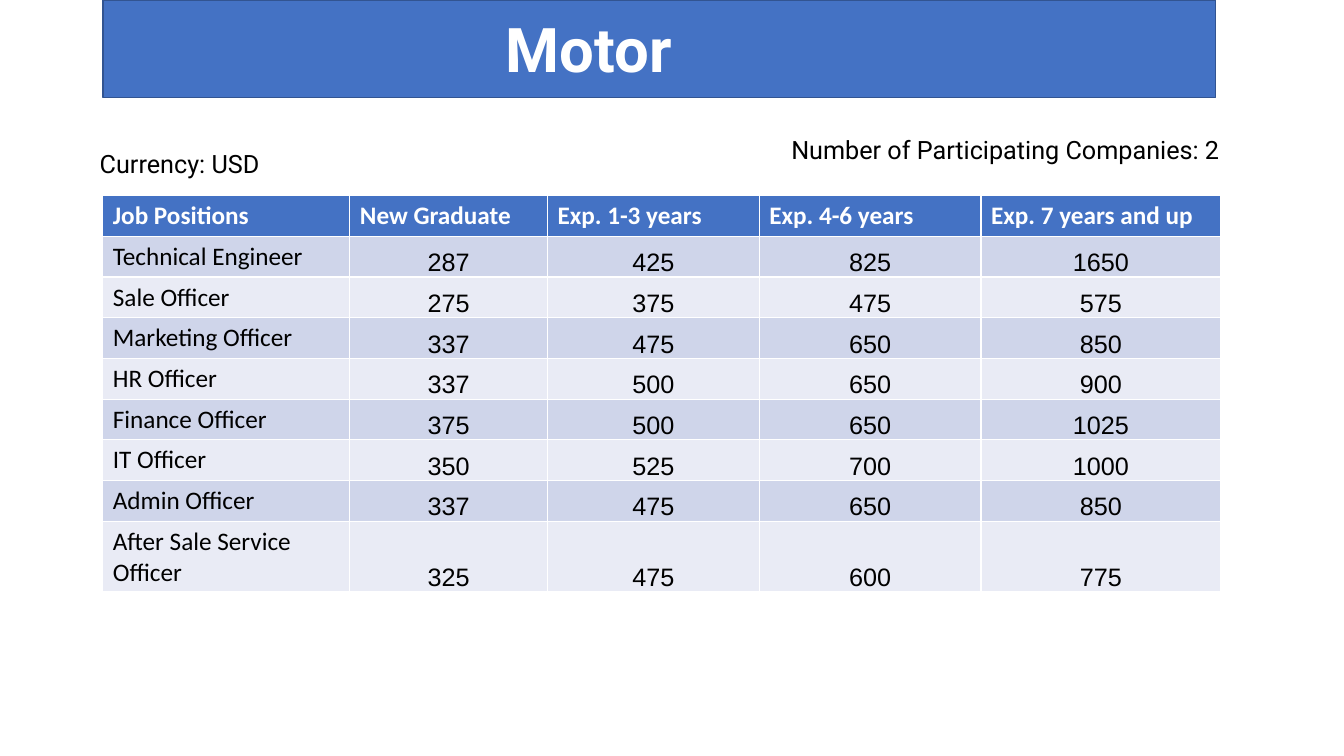
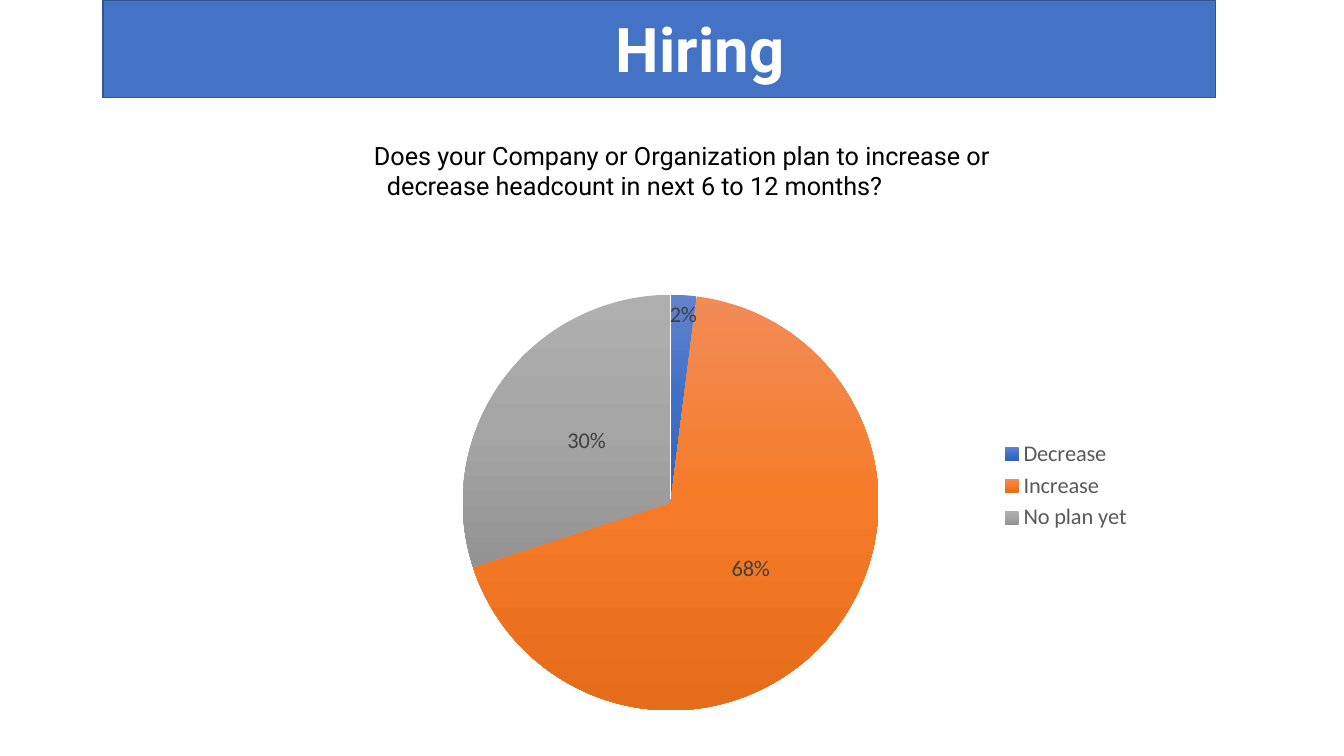
from lxml import etree
from pptx import Presentation
from pptx import util as u
from pptx.chart.data import CategoryChartData
from pptx.dml.color import RGBColor
from pptx.enum import chart as charts, shapes, text
from pptx.oxml import parse_xml
from pptx.oxml.ns import nsdecls, qn

BLUE = RGBColor(0x44, 0x72, 0xC4)
BLUE_EDGE = RGBColor(0x32, 0x54, 0x91)
ROW_DARK = RGBColor(0xCF, 0xD5, 0xEA)
ROW_LIGHT = RGBColor(0xE9, 0xEB, 0xF5)
WHITE = RGBColor(0xFF, 0xFF, 0xFF)
BLACK = RGBColor(0, 0, 0)
LABEL_GREY = RGBColor(0x40, 0x40, 0x40)
LEGEND_GREY = RGBColor(0x59, 0x59, 0x59)
LEFT, CENTER = text.PP_ALIGN.LEFT, text.PP_ALIGN.CENTER

deck = Presentation()
deck.slide_width = u.Inches(13.33)
deck.slide_height = u.Inches(7.5)


def area(left, top, width, height):
    across, down = deck.slide_width / 100, deck.slide_height / 100
    return int(left * across), int(top * down), int(width * across), int(height * down)


def write(frame, words, size, font, color, bold=False, align=LEFT):
    para = frame.paragraphs[0]
    para.alignment = align
    span = para.add_run()
    span.text = words
    span.font.size = u.Pt(size)
    span.font.name = font
    span.font.color.rgb = color
    span.font.bold = bold
    return para


pages = []
for title, left, width, align in [
    ("Motor", 36.91, 31.96, LEFT),
    ("Hiring", 40.29, 23.63, CENTER),
]:
    page = deck.slides.add_slide(deck.slide_layouts[6])
    band = page.shapes.add_shape(shapes.MSO_SHAPE.RECTANGLE, *area(7.65, 0, 82.8, 12.93))
    band.shadow.inherit = False
    band.fill.solid()
    band.fill.fore_color.rgb = BLUE
    band.line.color.rgb = BLUE_EDGE
    band.line.width = u.Pt(1)
    box = page.shapes.add_textbox(*area(left, 0.8, width, 11.2))
    box.text_frame.word_wrap = True
    box.text_frame.auto_size = text.MSO_AUTO_SIZE.SHAPE_TO_FIT_TEXT
    write(box.text_frame, title, 44, "Roboto", WHITE, True, align)
    pages.append(page)
salary_page, hiring_page = pages

salaries = [
    ("Job Positions", "New Graduate", "Exp. 1-3 years", "Exp. 4-6 years", "Exp. 7 years and up"),
    ("Technical Engineer", 287, 425, 825, 1650),
    ("Sale Officer", 275, 375, 475, 575),
    ("Marketing Officer", 337, 475, 650, 850),
    ("HR Officer", 337, 500, 650, 900),
    ("Finance Officer", 375, 500, 650, 1025),
    ("IT Officer", 350, 525, 700, 1000),
    ("Admin Officer", 337, 475, 650, 850),
    ("After Sale Service Officer", 325, 475, 600, 775),
]
table = salary_page.shapes.add_table(
    len(salaries), len(salaries[0]), *area(7.65, 25.87, 83.2, 48.5)
).table
for column, width in zip(table.columns, [2.45, 1.96, 2.1, 2.2, 2.38]):
    column.width = u.Inches(width)

for row, values in enumerate(salaries):
    for column, value in enumerate(values):
        cell = table.cell(row, column)
        cell.fill.solid()
        if row == 0:
            cell.fill.fore_color.rgb = BLUE
            write(cell.text_frame, value, 18, "Calibri", WHITE, True)
            continue
        cell.fill.fore_color.rgb = ROW_DARK if row % 2 else ROW_LIGHT
        if column == 0:
            write(cell.text_frame, value, 18, "Calibri", BLACK)
            continue
        cell.vertical_anchor = text.MSO_ANCHOR.BOTTOM
        cell.margin_left = cell.margin_right = cell.margin_top = u.Inches(0.01)
        cell.margin_bottom = 0
        write(cell.text_frame, str(value), 18, "Arial", BLACK, align=CENTER)

for words, place in [
    ("Currency: USD", (6.68, 19, 13.5, 5.33)),
    ("Number of Participating Companies: 2", (58.14, 17.07, 34.13, 5.33)),
]:
    box = salary_page.shapes.add_textbox(*area(*place))
    box.text_frame.word_wrap = False
    box.text_frame.auto_size = text.MSO_AUTO_SIZE.SHAPE_TO_FIT_TEXT
    write(box.text_frame, words, 18, "Roboto", BLACK)

answers = CategoryChartData()
answers.categories = ["Decrease", "Increase", "No plan yet"]
answers.add_series("Series 1", [2, 68, 30])
pie = hiring_page.shapes.add_chart(
    charts.XL_CHART_TYPE.PIE, *area(25.51, 32.53, 59.49, 63.47), answers
).chart
pie.has_title = False
pie.font.name = "Calibri"
pie.font.size = u.Pt(10)
pie.has_legend = True
pie.legend.position = charts.XL_LEGEND_POSITION.RIGHT
pie.legend.include_in_layout = False
pie.legend.font.size = u.Pt(16)
pie.legend.font.name = "Calibri"
pie.legend.font.color.rgb = LEGEND_GREY

plot = pie.plots[0]
plot.vary_by_categories = True
plot.has_data_labels = False
series = plot.series[0]
labels = series.data_labels
labels.show_percentage = True
labels.show_value = False
labels.number_format = "0%"
labels.number_format_is_linked = False
labels.position = charts.XL_LABEL_POSITION.CENTER
small_label = series.points[0].data_label
small_label.position = charts.XL_LABEL_POSITION.INSIDE_END
for font in (labels.font, small_label.font):
    font.size = u.Pt(16)
    font.name = "Calibri"
    font.color.rgb = LABEL_GREY

chart_space = pie._chartSpace
for label in chart_space.iter(qn("c:dLbl")):
    label.find(qn("c:showVal")).set("val", "0")
    label.find(qn("c:showPercent")).set("val", "1")

slice_shades = [
    ("6183CB", "3E70CA", "3062BB"),
    ("F18C57", "F67B28", "E56C19"),
    ("AFAFAF", "A5A5A5", "939393"),
]
for index in range(len(slice_shades)):
    look = series.points[index].format
    look.fill.gradient()
    look.fill.gradient_angle = 270
    look.line.fill.background()
for stops, shades in zip(chart_space.iter(qn("a:gsLst")), slice_shades):
    for stop in list(stops):
        stops.remove(stop)
    for index, shade in enumerate(shades):
        stop = etree.SubElement(stops, qn("a:gs"), pos=str(index * 50000))
        etree.SubElement(stop, qn("a:srgbClr"), val=shade)

plot_area = next(chart_space.iter(qn("c:plotArea")))
for layout in plot_area.findall(qn("c:layout")):
    plot_area.remove(layout)
layout = parse_xml(f"<c:layout {nsdecls('c')}><c:manualLayout/></c:layout>")
for tag, value in [
    ("layoutTarget", "inner"), ("xMode", "edge"), ("yMode", "edge"),
    ("x", "0.15"), ("y", "0.1"), ("w", "0.52"), ("h", "0.87"),
]:
    etree.SubElement(layout[0], qn(f"c:{tag}"), val=value)
plot_area.insert(0, layout)

box = hiring_page.shapes.add_textbox(*area(27.08, 17.87, 50.04, 9.47))
box.text_frame.word_wrap = True
box.text_frame.auto_size = text.MSO_AUTO_SIZE.SHAPE_TO_FIT_TEXT
question = "Does your Company or Organization plan to increase or decrease headcount in next 6 to 12 months?"
para = write(box.text_frame, question, 18, "Roboto", BLACK)
hang = u.Inches(0.13)
para._p.get_or_add_pPr().set("marL", str(hang))
para._p.get_or_add_pPr().set("indent", str(-hang))

deck.save("out.pptx")
